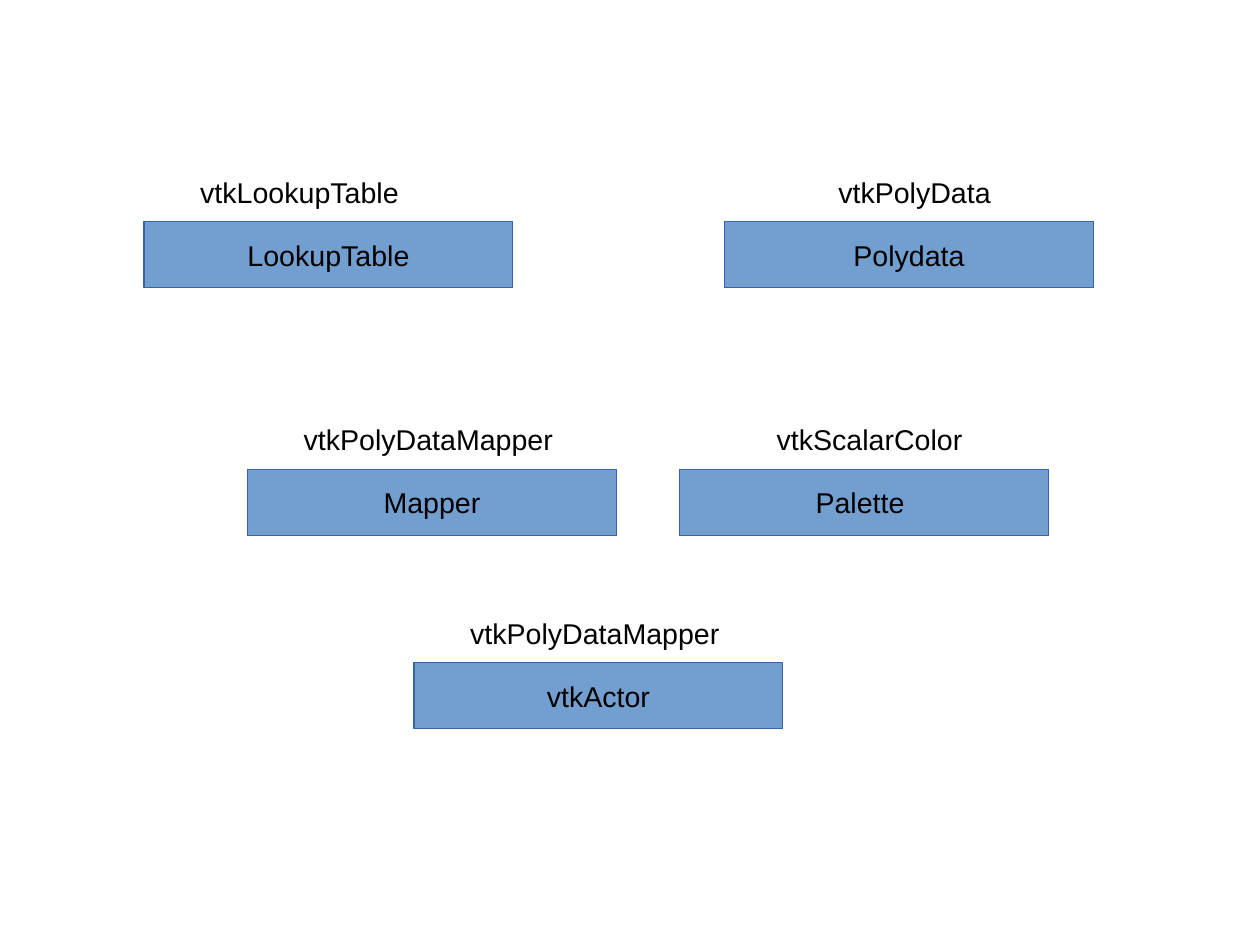
from dataclasses import dataclass

from pptx import Presentation
from pptx.dml.color import RGBColor
from pptx.enum.shapes import MSO_SHAPE
from pptx.enum.text import MSO_ANCHOR, MSO_AUTO_SIZE, PP_ALIGN
from pptx.slide import Slide
from pptx.text.text import TextFrame
from pptx.util import Emu, Pt

RECTANGLE = MSO_SHAPE.RECTANGLE
LEFT, CENTER = PP_ALIGN.LEFT, PP_ALIGN.CENTER
TOP, MIDDLE = MSO_ANCHOR.TOP, MSO_ANCHOR.MIDDLE
GROW = MSO_AUTO_SIZE.SHAPE_TO_FIT_TEXT

EMU_PER_PX = 3600  # 100 px to the centimetre
PAGE_WIDTH, PAGE_HEIGHT = 2800, 2100
BOX_WIDTH, BOX_HEIGHT = 820, 147
LABEL_WIDTH, LABEL_HEIGHT = 645, 117
LABEL_INDENT = 100
SOURCE_TOP, MAPPING_TOP, ACTOR_TOP = 493, 1043, 1473
BLANK_LAYOUT = 6
FONT_NAME, FONT_SIZE = "Arial", 18
COLORS = {"fill": "729FCF", "line": "3465A4", "text": "000000"}


@dataclass(frozen=True)
class Stage:
    name: str
    class_name: str
    left: int
    top: int
    label_align: PP_ALIGN = LEFT


STAGES = [
    Stage("Mapper", "vtkPolyDataMapper", 550, MAPPING_TOP),
    Stage("LookupTable", "vtkLookupTable", 320, SOURCE_TOP),
    Stage("Polydata", "vtkPolyData", 1610, SOURCE_TOP, CENTER),
    Stage("Palette ", "vtkScalarColor", 1510, MAPPING_TOP, CENTER),
    Stage("vtkActor", "vtkPolyDataMapper", 920, ACTOR_TOP),
]


def px(length: int) -> Emu:
    return Emu(length * EMU_PER_PX)


def color(name: str) -> RGBColor:
    return RGBColor.from_string(COLORS[name])


def set_text(frame: TextFrame, text: str, align: PP_ALIGN, anchor: MSO_ANCHOR) -> None:
    frame.text = text
    frame.vertical_anchor = anchor
    para = frame.paragraphs[0]
    para.alignment = align
    font = para.runs[0].font
    font.name = FONT_NAME
    font.size = Pt(FONT_SIZE)
    font.color.rgb = color("text")


def draw_stage(page: Slide, stage: Stage) -> None:
    # Named box
    box = page.shapes.add_shape(
        RECTANGLE, px(stage.left), px(stage.top), px(BOX_WIDTH), px(BOX_HEIGHT)
    )
    box.shadow.inherit = False
    box.fill.solid()
    box.fill.fore_color.rgb = color("fill")
    box.line.color.rgb = color("line")
    box.line.width = Pt(0)
    box.text_frame.word_wrap = False
    set_text(box.text_frame, stage.name, CENTER, MIDDLE)

    # Class label directly above the box
    label = page.shapes.add_textbox(
        px(stage.left + LABEL_INDENT), px(stage.top - LABEL_HEIGHT),
        px(LABEL_WIDTH), px(LABEL_HEIGHT),
    )
    label.text_frame.word_wrap = True
    label.text_frame.auto_size = GROW
    set_text(label.text_frame, stage.class_name, stage.label_align, TOP)


def main() -> None:
    deck = Presentation()
    deck.slide_width, deck.slide_height = px(PAGE_WIDTH), px(PAGE_HEIGHT)
    page = deck.slides.add_slide(deck.slide_layouts[BLANK_LAYOUT])
    for stage in STAGES:
        draw_stage(page, stage)
    deck.save("out.pptx")


if __name__ == "__main__":
    main()
